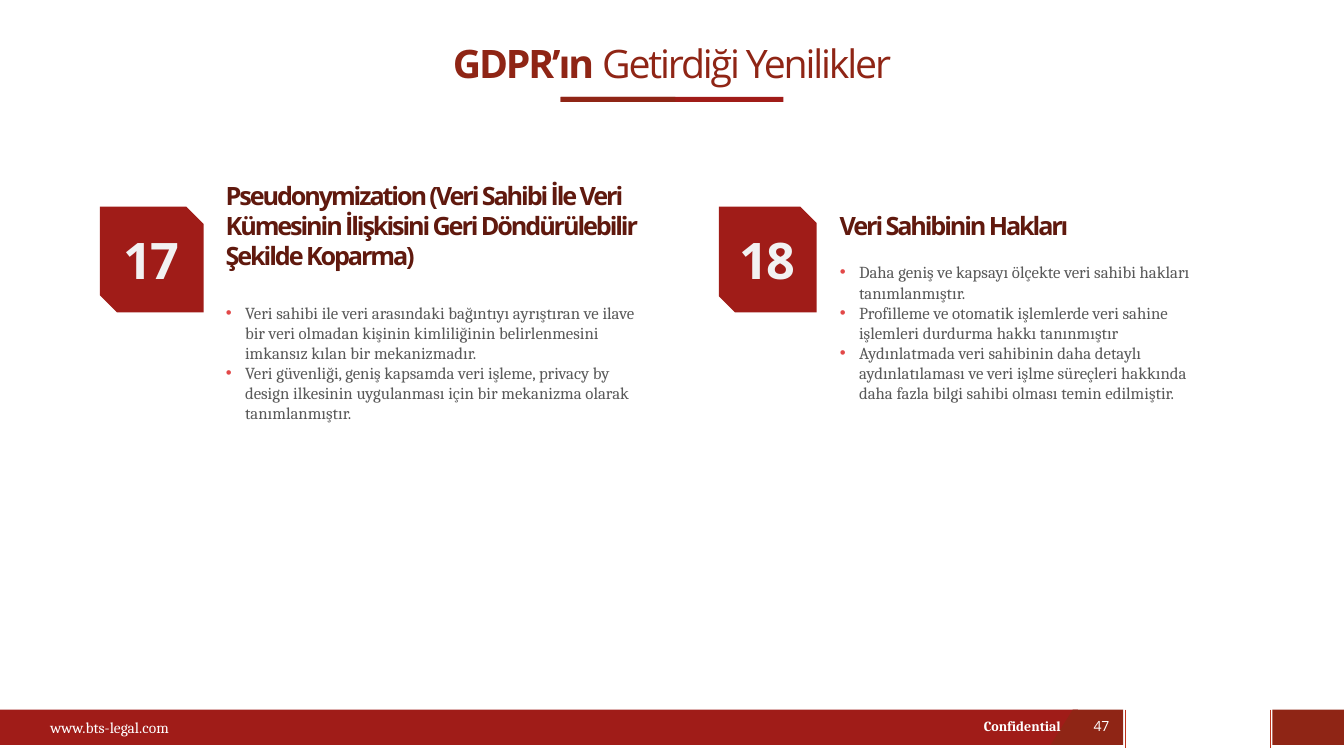
from lxml import etree
from pptx import Presentation
from pptx.dml.color import RGBColor
from pptx.enum.shapes import MSO_CONNECTOR, MSO_SHAPE
from pptx.enum.text import MSO_ANCHOR, MSO_AUTO_SIZE, PP_ALIGN
from pptx.oxml.ns import qn
from pptx.util import Inches, Pt

RECT = MSO_SHAPE.RECTANGLE
SNIPPED = MSO_SHAPE.SNIP_2_DIAG_RECTANGLE
STRAIGHT = MSO_CONNECTOR.STRAIGHT
TOP, MIDDLE = MSO_ANCHOR.TOP, MSO_ANCHOR.MIDDLE
LEFT, CENTER = PP_ALIGN.LEFT, PP_ALIGN.CENTER
NO_AUTOFIT = MSO_AUTO_SIZE.NONE

COLORS = {
    "red": "A01C18",
    "brick": "8F2515",
    "divider": "BF321C",
    "heading": "60190E",
    "bullet": "E24848",
    "body": "595959",
    "number": "F2F2F2",
    "white": "FFFFFF",
}
SANS, SERIF = "Open Sans", "Cambria"
TWO_CONTENT_LAYOUT = 3
BULLET_INDENT = 0.19

TOPICS = [
    {
        "number": "17",
        "badge_width": 1.03,
        "heading": "Pseudonymization (Veri Sahibi İle Veri Kümesinin İlişkisini "
                   "Geri Döndürülebilir Şekilde Koparma)",
        "points": [
            "Veri sahibi ile veri arasındaki bağıntıyı ayrıştıran ve ilave bir veri "
            "olmadan kişinin kimliliğinin belirlenmesini imkansız kılan bir mekanizmadır.",
            "Veri güvenliği, geniş kapsamda veri işleme, privacy by design ilkesinin "
            "uygulanması için bir mekanizma olarak tanımlanmıştır.",
        ],
        "box": (0.99, 2.05, 5.71, 2.62),
        "text_offset": 1.15,
        "points_offset": 0.9,
        "points_width": 4.41,
    },
    {
        "number": "18",
        "badge_width": 0.97,
        "heading": "Veri Sahibinin Hakları",
        "points": [
            "Daha geniş ve kapsayı ölçekte veri sahibi hakları tanımlanmıştır.",
            "Profilleme ve otomatik işlemlerde veri sahine işlemleri durdurma hakkı "
            "tanınmıştır",
            "Aydınlatmada veri sahibinin daha detaylı aydınlatılaması ve veri işlme "
            "süreçleri hakkında daha fazla bilgi sahibi olması temin edilmiştir.",
        ],
        "box": (7.13, 2.05, 4.66, 2.62),
        "text_offset": 1.1,
        "points_offset": 0.5,
        "points_width": 4.01,
    },
]


def rgb(name):
    return RGBColor.from_string(COLORS[name])


def move(shape, left, top, width, height):
    shape.left, shape.top = Inches(left), Inches(top)
    shape.width, shape.height = Inches(width), Inches(height)


def add_bullet(paragraph):
    properties = paragraph._p.get_or_add_pPr()
    properties.set("marL", str(Inches(BULLET_INDENT)))
    properties.set("indent", str(-Inches(BULLET_INDENT)))
    bullet_color = etree.SubElement(properties, qn("a:buClr"))
    etree.SubElement(bullet_color, qn("a:srgbClr"), val=COLORS["bullet"])
    etree.SubElement(properties, qn("a:buFont"), typeface="Arial")
    etree.SubElement(properties, qn("a:buChar"), char="•")


def write(shape, paragraphs, size, color, font=SANS, bold=False, spacing=0,
          align=LEFT, anchor=MIDDLE, wrap=True, bullets=False):
    """Fill a shape; each paragraph is a string or a list of (text, bold) runs."""
    frame = shape.text_frame
    frame.auto_size = NO_AUTOFIT
    frame.word_wrap = wrap
    frame.vertical_anchor = anchor
    for index, content in enumerate(paragraphs):
        paragraph = frame.add_paragraph() if index else frame.paragraphs[0]
        if bullets:
            add_bullet(paragraph)
        paragraph.alignment = align
        paragraph.space_before = Pt(0)
        runs = [(content, bold)] if isinstance(content, str) else content
        for text, run_bold in runs:
            run = paragraph.add_run()
            run.text = text
            run.font.name = font
            run.font.size = Pt(size)
            run.font.bold = run_bold
            run.font.color.rgb = rgb(color)
            if spacing:
                run.font._element.set("spc", str(round(spacing * 100)))


def add_text(slide, box, text, **text_format):
    label = slide.shapes.add_textbox(*map(Inches, box))
    write(label, [text], **text_format)


def paint(shape, color):
    shape.shadow.inherit = False
    shape.fill.solid()
    shape.fill.fore_color.rgb = rgb(color)
    shape.line.fill.background()


def add_block(slide, box, color, preset=RECT):
    block = slide.shapes.add_shape(preset, *map(Inches, box))
    paint(block, color)
    return block


def add_divider(slide, x, top, bottom):
    divider = slide.shapes.add_connector(
        STRAIGHT, Inches(x), Inches(top), Inches(x), Inches(bottom))
    divider.line.color.rgb = rgb("divider")
    divider.line.width = Pt(1)
    etree.SubElement(divider._element.spPr, qn("a:effectLst"))


def add_footer(slide, left, top, width, height):
    add_block(slide, (left, top, 10.69, height), "red")
    for x in (left + 11.16, left + 12.6):
        add_divider(slide, x, top, top + 0.38)

    tab_left, tab_right, bottom = left + 10.42, left + 11.14, top + height
    outline = slide.shapes.build_freeform(
        Inches(tab_left + 0.22), Inches(top))
    outline.add_line_segments(
        [(Inches(x), Inches(y)) for x, y in
         ((tab_right, top), (tab_right, bottom), (tab_left, bottom))],
        close=True)
    paint(outline.convert_to_shape(), "brick")

    end_left = left + 12.62
    add_block(slide, (end_left, top, left + width - end_left, height), "brick")
    add_text(slide, (left + 0.4, top + 0.01, 2.58, 0.34), "www.bts-legal.com",
             size=11, color="white", font=SERIF)
    add_text(slide, (left + 9.66, top + 0.03, 1.1, 0.27), "Confidential",
             size=10, color="white", font=SERIF, bold=True, anchor=TOP, wrap=False)
    add_text(slide, (left + 10.69, top - 0.04, 0.47, 0.4), "47",
             size=10, color="white", align=CENTER)


def add_title(slide, left, top, width, height):
    title = slide.shapes.title
    move(title, left, top, width, height)
    write(title, [[("GDPR’ın ", True), ("Getirdiği Yenilikler", False)]],
          size=28, color="brick", spacing=-1.5, align=CENTER)
    rule_width = 2.21
    rule_left = left + (width - rule_width) / 2
    for part_width, color in ((rule_width, "red"), (1.14, "brick")):
        add_block(slide, (rule_left, top + 0.66, part_width, 0.05), color)


def add_topic(slide, topic, points):
    left, top, width, height = topic["box"]
    badge = add_block(slide, (left, top, topic["badge_width"], 1.05), "red", SNIPPED)
    write(badge, [topic["number"]], size=36, color="number", bold=True,
          spacing=-1.5, align=CENTER)
    text_left = left + topic["text_offset"]
    add_text(slide, (text_left, top, width - topic["text_offset"], 0.37),
             topic["heading"], size=18, color="heading", bold=True, spacing=-1.5)
    offset = topic["points_offset"]
    move(points, text_left, top + offset, topic["points_width"], height - offset)
    write(points, topic["points"], size=12, color="body", font=SERIF,
          anchor=TOP, bullets=True)


def main():
    deck = Presentation()
    deck.slide_width, deck.slide_height = Inches(13.33), Inches(7.5)
    slide = deck.slides.add_slide(deck.slide_layouts[TWO_CONTENT_LAYOUT])
    add_footer(slide, 0, 7.04, 13.33, 0.35)
    add_title(slide, 1.32, 0.3, 10.69, 0.64)
    for index, topic in enumerate(TOPICS, start=1):
        add_topic(slide, topic, slide.placeholders[index])
    deck.save("out.pptx")


if __name__ == "__main__":
    main()
